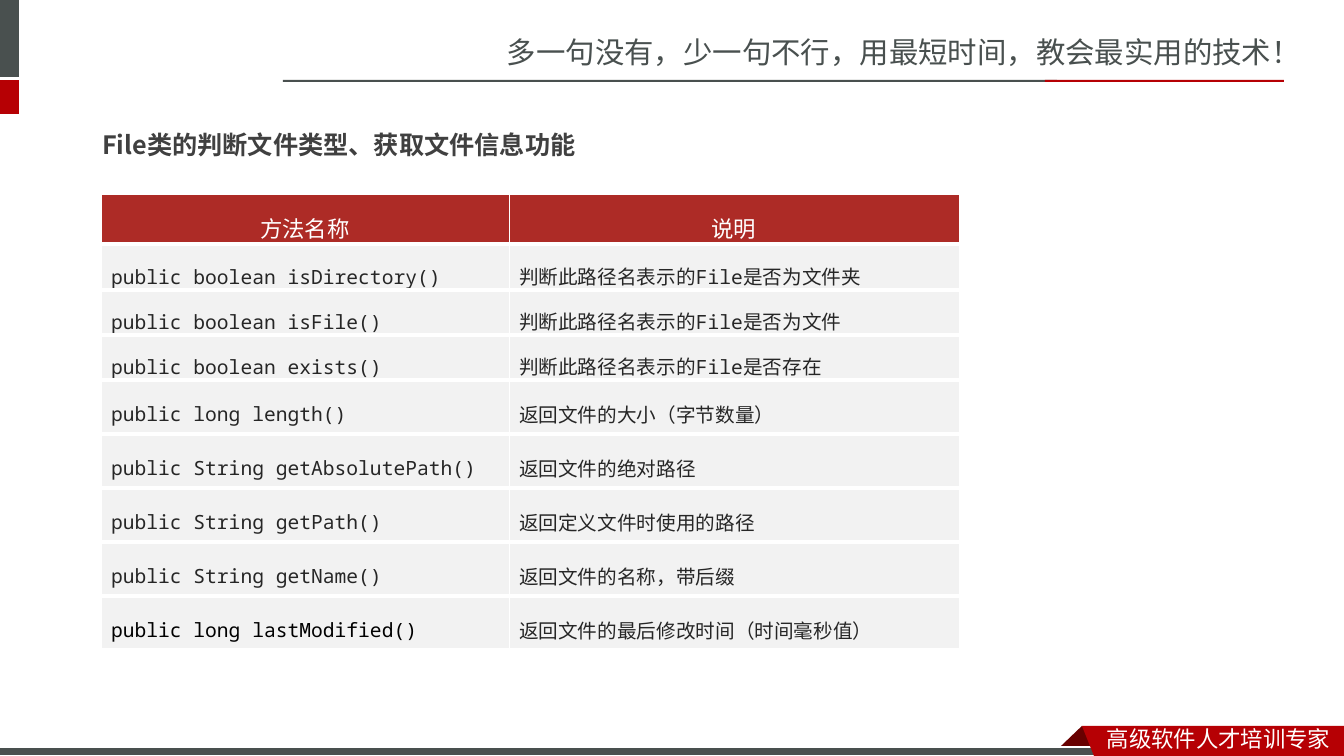
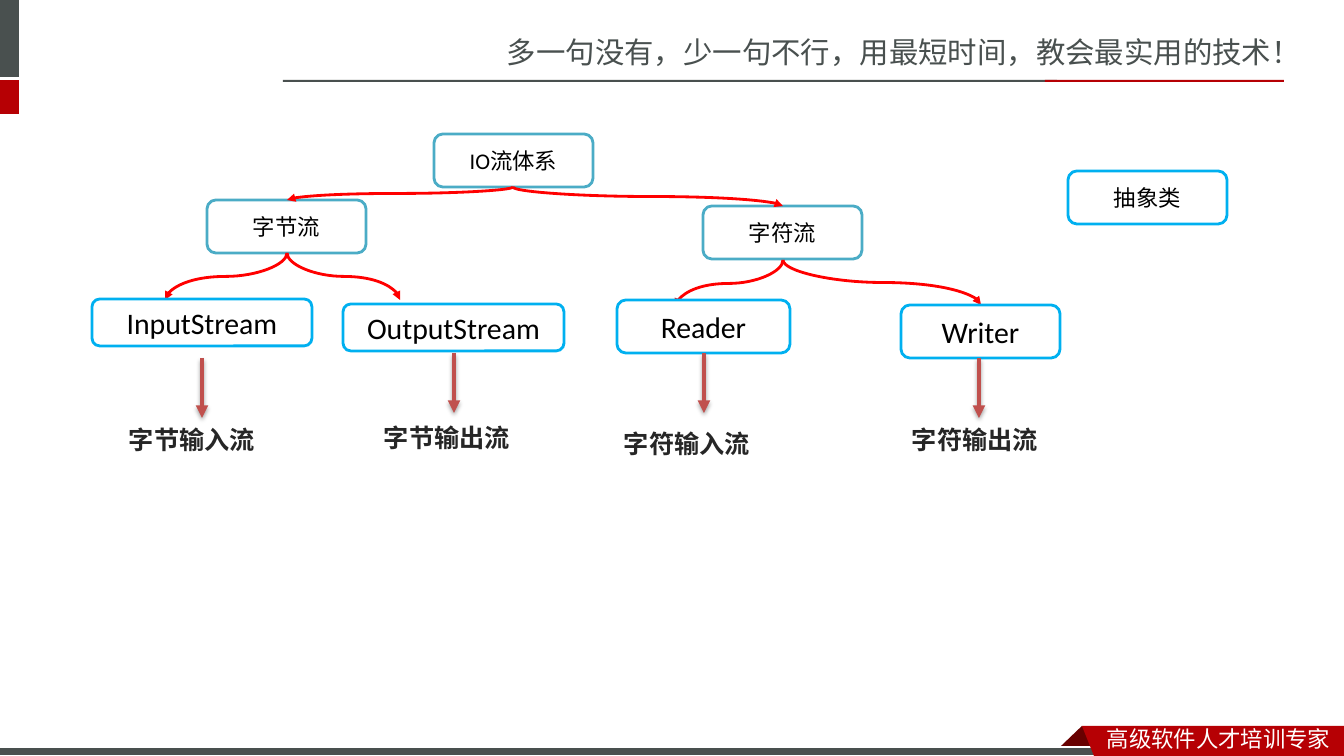
from lxml.etree import SubElement
from pptx import Presentation
from pptx.dml.color import RGBColor
from pptx.enum.shapes import MSO_CONNECTOR, MSO_SHAPE
from pptx.enum.text import MSO_ANCHOR, MSO_AUTO_SIZE, PP_ALIGN
from pptx.oxml import parse_xml
from pptx.oxml.ns import nsdecls, qn
from pptx.util import Emu, Pt

SLIDE_W, SLIDE_H = 12192000, 6858000
SCALE = SLIDE_W / 1344

COLORS = {
    "grey": "49504F", "red": "B60004", "dark_red": "680000", "white": "FFFFFF",
    "heading": "404040", "text": "262626", "black": "000000",
    "table_head": "AD2B26", "table_row": "F2F2F2",
    "teal": "4BACC6", "cyan": "00B0F0", "curve": "FF0000", "arrow": "C0504D",
}
CJK, CJK_BOLD, MONO, LATIN = (
    "Noto Sans CJK SC", "Noto Sans CJK JP", "Noto Sans Mono", "Calibri")

# Shared by both slides
SLOGAN = "多一句没有，少一句不行，用最短时间，教会最实用的技术！"
RIBBON_TEXT = "高级软件人才培训专家"
BANDS = [  # left, top, width, height, colour
    (0, 0, 19, 77, "grey"),
    (0, 80, 19, 34, "red"),
    (283, 80, 774, 2, "grey"),
    (1045, 80, 239, 2, "red"),
]
FOOTER_BAR = (0, 747, 1108, 9, "grey")
RIBBON_FOLD = [(1082, 726), (1104, 748), (1103, 749), (1060, 749), (1059, 748)]
RIBBON = [(1082, 726), (1344, 726), (1344, 756), (1094, 756)]

# File methods slide
HEADING = "File类的判断文件类型、获取文件信息功能"
METHODS = [
    ("方法名称", "说明"),
    ("public boolean isDirectory()", "判断此路径名表示的File是否为文件夹"),
    ("public boolean isFile()", "判断此路径名表示的File是否为文件"),
    ("public boolean exists()", "判断此路径名表示的File是否存在"),
    ("public long length()", "返回文件的大小（字节数量）"),
    ("public String getAbsolutePath()", "返回文件的绝对路径"),
    ("public String getPath()", "返回定义文件时使用的路径"),
    ("public String getName()", "返回文件的名称，带后缀"),
    ("public long lastModified()", "返回文件的最后修改时间（时间毫秒值）"),
]
COL_WIDTHS = [408, 450]
TALL_ROW = 54
ROW_HEIGHTS = [50, 46, 45, 45] + [TALL_ROW] * 5

# Stream tree slide: text, left, top, width, height, line colour, size
GROUP_BOXES = [
    ("IO流体系", 434, 134, 159, 53, "teal", 16),
    ("字节流", 207, 200, 159, 53, "teal", 16),
    ("字符流", 703, 206, 159, 53, "teal", 16),
    ("抽象类", 1068, 171, 159, 53, "cyan", 16),
]
STREAM_BOXES = [
    ("InputStream", 92, 299, 220, 47, "cyan", 21.3),
    ("OutputStream", 343, 304, 221, 47, "cyan", 21.3),
    ("Reader", 617, 300, 173, 53, "cyan", 21.3),
    ("Writer", 901, 305, 159, 53, "cyan", 21.3),
]
CURVES = [  # from x, y, to x, y
    (513, 187, 287, 200), (513, 187, 783, 206),
    (287, 253, 165, 300), (287, 253, 400, 300),
    (783, 260, 675, 307), (783, 260, 981, 305),
]
ARROW_LENGTH = 60
ARROWS = [(202, 358), (454, 353), (704, 353), (979, 358)]
CAPTIONS = [("字节输入流", 119, 419), ("字节输出流", 374, 417),
            ("字符输入流", 614, 423), ("字符输出流", 902, 419)]


def px(*values):
    """Turn pixels into a list of EMU lengths."""
    return [Emu(round(v * SCALE)) for v in values]


def rgb(name):
    """Look up a named colour."""
    return RGBColor.from_string(COLORS[name])


def write(tf, text, size, color, latin=CJK, east=CJK, bold=False, align=PP_ALIGN.LEFT):
    """Fill a text frame with one formatted paragraph."""
    tf.text = text
    p = tf.paragraphs[0]
    p.alignment = align
    for r in p.runs:
        font = r.font
        font.size, font.bold, font.name = Pt(size), bold, latin
        font.color.rgb = rgb(color)
        SubElement(r._r.get_or_add_rPr(), qn("a:ea")).set("typeface", east)
    return p


def add_text(s, box, text, size, color, **style):
    """Add a wrapping text box."""
    shape = s.shapes.add_textbox(*px(*box))
    shape.text_frame.word_wrap = True
    write(shape.text_frame, text, size, color, **style)
    return shape


def paint(shape, fill, line=None, width=0.75):
    """Set fill and outline, and drop the shadow."""
    shape.shadow.inherit = False
    shape.fill.solid()
    shape.fill.fore_color.rgb = rgb(fill)
    if line:
        shape.line.color.rgb = rgb(line)
        shape.line.width = Pt(width)
    else:
        shape.line.fill.background()
    return shape


def add_band(s, band, line=None):
    """Add one flat rectangle."""
    *box, color = band
    return paint(s.shapes.add_shape(MSO_SHAPE.RECTANGLE, *px(*box)), color, line)


def add_outline(s, points, color):
    """Add a closed polygon."""
    builder = s.shapes.build_freeform(*points[0], scale=SCALE)
    builder.add_line_segments(points[1:], close=True)
    return paint(builder.convert_to_shape(), color)


def dress_master(prs, s):
    """Draw the shared parts on a slide, then move them to the master."""
    parts = [add_text(s, (497, 29, 847, 47), SLOGAN, 21, "grey")]
    parts += [add_band(s, band) for band in BANDS]
    parts += [
        add_outline(s, RIBBON_FOLD, "dark_red"),
        add_band(s, FOOTER_BAR, "white"),
        add_outline(s, RIBBON, "red"),
        add_text(s, (1097, 720, 247, 37), RIBBON_TEXT, 16, "white"),
    ]
    for number, part in enumerate(parts, 20):
        part.element.xpath(".//p:cNvPr")[0].set("id", str(number))
        prs.slide_master.shapes.element.append(part.element)


def set_borders(cell, top):
    """Give a cell white borders, thick between the rows."""
    tcPr = cell._tc.get_or_add_tcPr()
    widths = {"lnL": 0.5, "lnR": 0.5, "lnT": top, "lnB": 3}
    for i, (tag, width) in enumerate(widths.items()):
        tcPr.insert(i, parse_xml(
            f'<a:{tag} {nsdecls("a")} w="{Pt(width)}"><a:solidFill>'
            f'<a:srgbClr val="{COLORS["white"]}"/></a:solidFill></a:{tag}>'))


def add_methods_table(s):
    """Add the table of file methods."""
    box = (101, 194, sum(COL_WIDTHS), sum(ROW_HEIGHTS))
    table = s.shapes.add_table(len(METHODS), len(COL_WIDTHS), *px(*box)).table
    table.horz_banding = False
    for column, width in zip(table.columns, px(*COL_WIDTHS)):
        column.width = width
    for row, height in zip(table.rows, px(*ROW_HEIGHTS)):
        row.height = height
    last = len(METHODS) - 1
    for i, texts in enumerate(METHODS):
        for j, text in enumerate(texts):
            cell = table.cell(i, j)
            cell.vertical_anchor = MSO_ANCHOR.MIDDLE
            if ROW_HEIGHTS[i] < TALL_ROW:
                cell.vertical_anchor = MSO_ANCHOR.BOTTOM
                cell.margin_top = cell.margin_bottom = 0
            cell.fill.solid()
            cell.fill.fore_color.rgb = rgb("table_row" if i else "table_head")
            set_borders(cell, 3 if i else 0.5)
            if i == 0:
                p = write(cell.text_frame, text, 16, "white", MONO, align=PP_ALIGN.CENTER)
            else:
                color = "black" if (i, j) == (last, 0) else "text"
                p = write(cell.text_frame, text, 14, color, MONO)
            p.line_spacing = 1.5


def finish_arrow(line, color, width, shadow=""):
    """Colour a connector and give it an arrowhead and its effects."""
    line.line.color.rgb = rgb(color)
    line.line.width = Pt(width)
    SubElement(line.line._get_or_add_ln(), qn("a:tailEnd")).set("type", "triangle")
    line.element.spPr.append(parse_xml(
        f'<a:effectLst {nsdecls("a")}>{shadow}</a:effectLst>'))


def add_curve(s, x1, y1, x2, y2):
    """Add a curved arrow that leaves and arrives vertically."""
    run, drop = abs(x2 - x1), y2 - y1
    left, top = (x1 + x2 - drop) / 2, (y1 + y2 - run) / 2
    begin, end, turn = left, left + drop, 90
    if x2 > x1:
        begin, end, turn = end, begin, 270
    line = s.shapes.add_connector(MSO_CONNECTOR.CURVE, *px(begin, top, end, top + run))
    line.element.spPr.find(qn("a:xfrm")).set("rot", str(turn * 60000))
    finish_arrow(line, "curve", 2)


def add_down_arrow(s, x, y):
    """Add a straight arrow with a soft shadow."""
    line = s.shapes.add_connector(MSO_CONNECTOR.STRAIGHT, *px(x, y, x, y + ARROW_LENGTH))
    finish_arrow(line, "arrow", 3, (
        f'<a:outerShdw blurRad="{Pt(3.1)}" dist="{Pt(1.8)}" dir="5400000" rotWithShape="0">'
        f'<a:srgbClr val="{COLORS["black"]}"><a:alpha val="35000"/></a:srgbClr>'
        '</a:outerShdw>'))


def add_box(s, text, left, top, width, height, line, size):
    """Add a rounded box with centred text."""
    shape = s.shapes.add_shape(
        MSO_SHAPE.ROUNDED_RECTANGLE, *px(left, top, width, height))
    paint(shape, "white", line, 2)
    shape.text_frame.vertical_anchor = MSO_ANCHOR.MIDDLE
    write(shape.text_frame, text, size, "black", LATIN, align=PP_ALIGN.CENTER)


def build_methods_slide(prs):
    """Build the slide on file methods."""
    s = prs.slides.add_slide(prs.slide_layouts[5])
    dress_master(prs, s)
    title = s.shapes.title
    title.left, title.top, title.width, title.height = px(92, 124, 1043, 40)
    tf = title.text_frame
    tf.auto_size, tf.vertical_anchor = MSO_AUTO_SIZE.NONE, MSO_ANCHOR.TOP
    write(tf, HEADING, 18, "heading", CJK_BOLD, CJK_BOLD, True)
    add_methods_table(s)


def build_streams_slide(prs):
    """Build the slide with the tree of streams."""
    s = prs.slides.add_slide(prs.slide_layouts[6])
    for box in GROUP_BOXES:
        add_box(s, *box)
    for curve in CURVES:
        add_curve(s, *curve)
    for box in STREAM_BOXES:
        add_box(s, *box)
    for arrow in ARROWS:
        add_down_arrow(s, *arrow)
    for text, left, top in CAPTIONS:
        add_text(s, (left, top, 180, 40), text, 18, "text",
                 latin=CJK_BOLD, east=CJK_BOLD, bold=True)


prs = Presentation()
prs.slide_width, prs.slide_height = SLIDE_W, SLIDE_H
build_methods_slide(prs)
build_streams_slide(prs)
prs.save("out.pptx")
